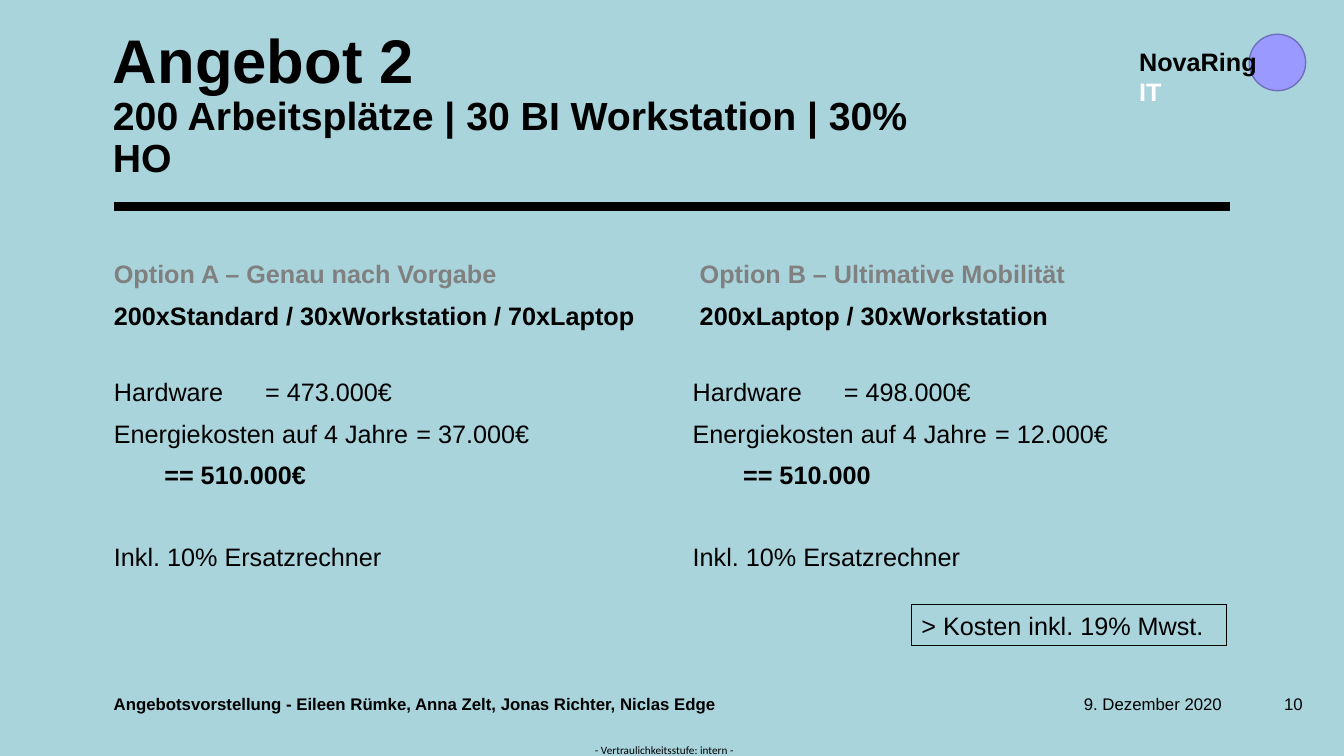
from pptx import Presentation
from pptx import util as u
from pptx.dml import color
from pptx.enum import shapes, text
from pptx.oxml import xmlchemy
from lxml import etree

COLORS = {"background": "A9D4DC", "black": "000000", "gray": "808080",
          "white": "FFFFFF", "circle": "9999FF", "circle_line": "706FBB"}
DRAWING = "{http://schemas.openxmlformats.org/drawingml/2006/main}"
LEFT, CENTER, RIGHT = text.PP_ALIGN.LEFT, text.PP_ALIGN.CENTER, text.PP_ALIGN.RIGHT
TOP, MIDDLE, BOTTOM = text.MSO_ANCHOR.TOP, text.MSO_ANCHOR.MIDDLE, text.MSO_ANCHOR.BOTTOM


def rgb(name):
    return color.RGBColor.from_string(COLORS[name])


def write(shape, place, lines, anchor=TOP, side=0.1, edge=0.05):
    """Place a shape and fill it with (runs, paragraph format, tab stop) lines."""
    for name, length in zip(("left", "top", "width", "height"), place):
        setattr(shape, name, u.Inches(length))
    frame = shape.text_frame
    frame_format = {"word_wrap": True, "auto_size": text.MSO_AUTO_SIZE.NONE,
                    "vertical_anchor": anchor,
                    "margin_left": u.Inches(side), "margin_right": u.Inches(side),
                    "margin_top": u.Inches(edge), "margin_bottom": u.Inches(edge)}
    for name, value in frame_format.items():
        setattr(frame, name, value)
    for index, (runs, paragraph_format, tab) in enumerate(lines):
        paragraph = frame.add_paragraph() if index else frame.paragraphs[0]
        for name, value in {"alignment": LEFT, **paragraph_format}.items():
            setattr(paragraph, name, value)
        properties = paragraph._p.get_or_add_pPr()
        properties.set("marL", "0")
        properties.set("indent", "0")
        etree.SubElement(properties, DRAWING + "buNone")
        if tab:
            tabs = etree.SubElement(properties, DRAWING + "tabLst")
            etree.SubElement(tabs, DRAWING + "tab", pos=str(u.Inches(tab)), algn="l")
        for number, (words, size, bold, tint) in enumerate(runs):
            if number:
                paragraph.add_line_break()
            run = paragraph.add_run()
            run.text = words
            font_format = {"name": "Arial", "size": u.Pt(size), "bold": bold}
            for name, value in font_format.items():
                setattr(run.font, name, value)
            run.font.color.rgb = rgb(tint)


presentation = Presentation()
presentation.slide_width = u.Inches(13.33)
presentation.slide_height = u.Inches(7.5)
slide = presentation.slides.add_slide(presentation.slide_layouts.get_by_name("Comparison"))
slide.background.fill.solid()
slide.background.fill.fore_color.rgb = rgb("background")

# Title and rule
title_runs = [("Angebot 2", 44, True, "black"),
              ("200 Arbeitsplätze | 30 BI Workstation | 30% HO", 28, True, "black")]
write(slide.shapes.title, (1.12, 1.09, 8.54, 0.71),
      [(title_runs, {"line_spacing": 0.9}, None)], BOTTOM, 0, 0)
rule = slide.shapes.add_connector(shapes.MSO_CONNECTOR.STRAIGHT, u.Inches(1.13),
                                  u.Inches(2.05), u.Inches(12.2), u.Inches(2.05))
rule.line.color.rgb = rgb("black")
rule.line.width = u.Pt(6)
etree.SubElement(rule._element.spPr, DRAWING + "effectLst")

# The two options: heading and costs
options = [
    (1.03, 1.13, "Option A – Genau nach Vorgabe",
     "200xStandard / 30xWorkstation / 70xLaptop", "473.000€", "37.000€", "510.000€"),
    (6.84, 6.87, "Option B – Ultimative Mobilität",
     "200xLaptop / 30xWorkstation", "498.000€", "12.000€", "510.000"),
]
for column, option in enumerate(options):
    heading_left, costs_left, name, devices, hardware, energy, total = option
    heading = slide.placeholders[1 + 2 * column]
    costs = slide.placeholders[2 + 2 * column]
    first = {"line_spacing": 0.9, "space_before": u.Pt(0)}
    spaced = {"line_spacing": 0.9, "space_before": u.Pt(10)}
    apart = {"line_spacing": 0.9, "space_before": u.Pt(39.5)}
    write(heading, (heading_left, 2.55, 5.43, 0.71), [
        ([(name, 18, True, "gray")], first, None),
        ([(devices, 18, True, "black")], spaced, None)])
    write(costs, (costs_left, 3.77, 5.3, 2), [
        ([(f"Hardware\t= {hardware}", 18, False, "black")], first, 3),
        ([(f"Energiekosten auf 4 Jahre\t= {energy}", 18, False, "black")], spaced, 3.05),
        ([(f"\t== {total}", 18, True, "black")], spaced, 3),
        ([("Inkl. 10% Ersatzrechner", 18, False, "black")], apart, None)], side=0, edge=0)

# Company mark: plain circle and name
circle = slide.shapes.add_shape(shapes.MSO_SHAPE.OVAL, u.Inches(12.39), u.Inches(0.34),
                                u.Inches(0.56), u.Inches(0.56))
circle.shadow.inherit = False
circle.fill.solid()
circle.fill.fore_color.rgb = rgb("circle")
circle.line.color.rgb = rgb("circle_line")
circle.line.width = u.Pt(1)

# Company name, tax note, footer and confidentiality label
labels = [
    ((11.2, 0.41, 1.57, 0.7), [("NovaRing", 18, True, "black"), ("IT", 18, True, "white")],
     LEFT, TOP, 0.1),
    ((9.04, 6, 3.13, 0.4), [("> Kosten inkl. 19% Mwst.", 18, False, "black")],
     LEFT, MIDDLE, 0.1),
    ((10.75, 6.88, 1.67, 0.2), [("9. Dezember 2020", 12, False, "black")], LEFT, MIDDLE, 0),
    ((1.03, 6.88, 9.64, 0.2),
     [("Angebotsvorstellung - Eileen Rümke, Anna Zelt, Jonas Richter, Niclas Edge",
       12, True, "black")], LEFT, MIDDLE, 0.1),
    ((12.57, 6.88, 0.45, 0.2), [("10", 12, False, "black")], RIGHT, MIDDLE, 0.1),
    ((5.87, 7.37, 1.44, 0.13), [("- Vertraulichkeitsstufe: intern -", 8, False, "black")],
     CENTER, TOP, 0),
]
boxes = []
for place, runs, alignment, anchor, side in labels:
    box = slide.shapes.add_textbox(0, 0, 0, 0)
    write(box, place, [(runs, {"alignment": alignment}, None)], anchor, side,
          0 if place[3] < 0.3 else 0.05)
    boxes.append(box)
tax_note, confidentiality = boxes[1], boxes[-1]
tax_note.line.color.rgb = rgb("black")
tax_note.line.width = u.Pt(0.75)
confidentiality.text_frame.paragraphs[0].runs[0].font.name = "Calibri"

presentation.save("out.pptx")
